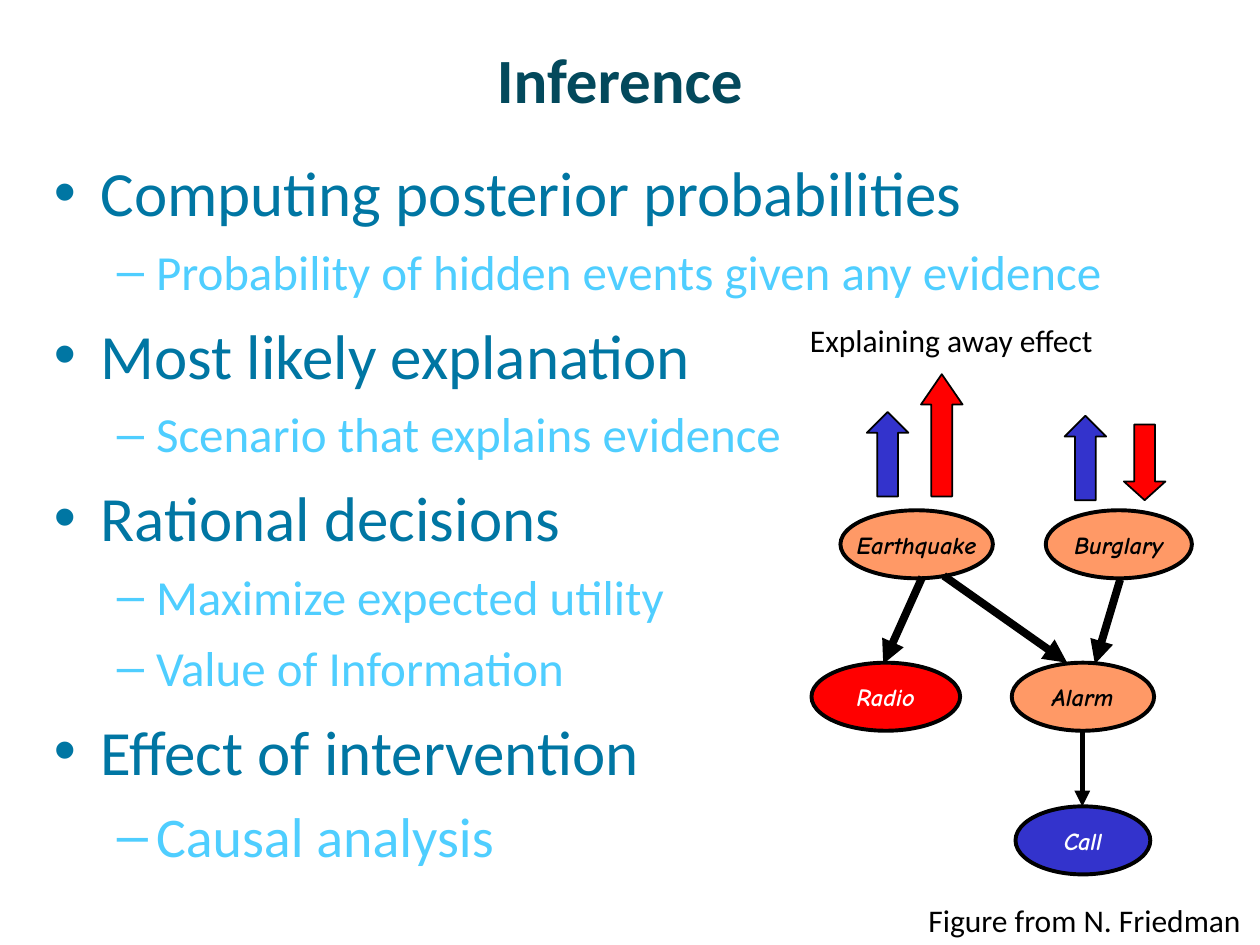
"""Build the Inference slide: an outline beside a small Bayesian network."""
from lxml.etree import SubElement
from pptx import Presentation
from pptx.dml.color import RGBColor
from pptx.enum.shapes import MSO_CONNECTOR as CONN, MSO_SHAPE as SHAPE
from pptx.enum.text import MSO_ANCHOR as ANCHOR, PP_ALIGN as ALIGN
from pptx.oxml.ns import qn
from pptx.util import Inches, Pt

NAVY = RGBColor(0x03, 0x49, 0x5C)
TEAL = RGBColor(0x00, 0x76, 0xA3)
SKY = RGBColor(0x4F, 0xCE, 0xFF)
BLACK = RGBColor(0, 0, 0)
WHITE = RGBColor(0xFF, 0xFF, 0xFF)
ORANGE = RGBColor(0xFF, 0x99, 0x66)
RED = RGBColor(0xFF, 0, 0)
BLUE = RGBColor(0x33, 0x33, 0xCC)


def add_text(p, text, color, **font):
    r = p.add_run()
    r.text = text
    r.font.color.rgb = color
    for name, value in font.items():
        setattr(r.font, name, value)


def add_filled(kind, box, fill, width):
    s = slide.shapes.add_shape(kind, *map(Inches, box))
    s.shadow.inherit = False
    s.fill.solid()
    s.fill.fore_color.rgb = fill
    s.line.color.rgb = BLACK
    s.line.width = Pt(width)
    return s


prs = Presentation()
prs.slide_width, prs.slide_height = Inches(10), Inches(7.5)
slide = prs.slides.add_slide(prs.slide_layouts[6])

tf = slide.shapes.add_textbox(Inches(0.67), 0, Inches(8.5), Inches(1.25)).text_frame
tf.word_wrap = True
tf.vertical_anchor = ANCHOR.MIDDLE
p = tf.paragraphs[0]
p.alignment = ALIGN.CENTER
add_text(p, "Inference", NAVY, name="Calibri", size=Pt(36), bold=True)

outline = [
    (0, "Computing posterior probabilities", 36),
    (1, "Probability of hidden events given any evidence", 28),
    (0, "Most likely explanation", 36),
    (1, "Scenario that explains evidence", 28),
    (0, "Rational decisions", 36),
    (1, "Maximize expected utility", 28),
    (1, "Value of Information", 28),
    (0, "Effect of intervention", 36),
    (1, "Causal analysis", 32),
]
levels = [
    {"margin": 0.37, "hang": -0.37, "bullet": "•", "color": TEAL},
    {"margin": 0.81, "hang": -0.31, "bullet": "–", "color": SKY},
]
box = map(Inches, (0.33, 1.17, 9.45, 5.85))
tf = slide.shapes.add_textbox(*box).text_frame
tf.word_wrap = True
for i, (level, text, size) in enumerate(outline):
    style = levels[level]
    p = tf.add_paragraph() if i else tf.paragraphs[0]
    p.level = level
    pPr = p._p.get_or_add_pPr()
    pPr.set("marL", str(Inches(style["margin"])))
    pPr.set("indent", str(Inches(style["hang"])))
    SubElement(pPr, qn("a:buFont"), typeface="Arial")
    SubElement(pPr, qn("a:buChar"), char=style["bullet"])
    if i:
        p.space_before = Pt(size // 4)
    add_text(p, text, style["color"], name="Calibri", size=Pt(size))

nodes = [
    ("Earthquake", (6.67, 4.05, 1.21, 0.54), ORANGE, BLACK),
    ("Burglary", (8.3, 4.05, 1.16, 0.54), ORANGE, BLACK),
    ("Alarm", (8.03, 5.26, 1.13, 0.54), ORANGE, BLACK),
    ("Radio", (6.44, 5.26, 1.18, 0.54), RED, WHITE),
    ("Call", (8.06, 6.4, 1.07, 0.54), BLUE, WHITE),
]
for text, box, fill, color in nodes:
    s = add_filled(SHAPE.OVAL, box, fill, 2.25)
    tf = s.text_frame
    tf.word_wrap = False
    tf.vertical_anchor = ANCHOR.MIDDLE
    p = tf.paragraphs[0]
    p.alignment = ALIGN.CENTER
    add_text(p, text, color, name="Comic Neue", size=Pt(14), bold=True, italic=True)

edges = [
    ((7.32, 4.58, 7.01, 5.27), 4.5),
    ((7.49, 4.57, 8.47, 5.26), 4.5),
    ((8.89, 4.6, 8.69, 5.27), 4.5),
    ((8.59, 5.8, 8.59, 6.4), 3),
]
for ends, width in edges:
    s = slide.shapes.add_connector(CONN.STRAIGHT, *map(Inches, ends))
    s.line.color.rgb = BLACK
    s.line.width = Pt(width)
    SubElement(s.line._get_or_add_ln(), qn("a:tailEnd"), type="triangle")
    SubElement(s._element.spPr, qn("a:effectLst"))

arrows = [
    (SHAPE.UP_ARROW, (6.88, 3.27, 0.33, 0.67), BLUE, 0.5),
    (SHAPE.DOWN_ARROW, (8.92, 3.37, 0.33, 0.6), RED, 0.45),
    (SHAPE.UP_ARROW, (8.45, 3.3, 0.33, 0.67), BLUE, 0.5),
    (SHAPE.UP_ARROW, (7.31, 2.97, 0.33, 0.97), RED, 0.73),
]
for kind, box, fill, head in arrows:
    s = add_filled(kind, box, fill, 1)
    s.adjustments[1] = head

captions = [
    ("Figure from N. Friedman", (7.27, 7.1, 2.73, 0.41)),
    ("Explaining away effect", (6.33, 2.5, 2.5, 0.41)),
]
for text, box in captions:
    tf = slide.shapes.add_textbox(*map(Inches, box)).text_frame
    tf.word_wrap = False
    add_text(tf.paragraphs[0], text, BLACK, name="Calibri", size=Pt(18))

prs.save("out.pptx")
